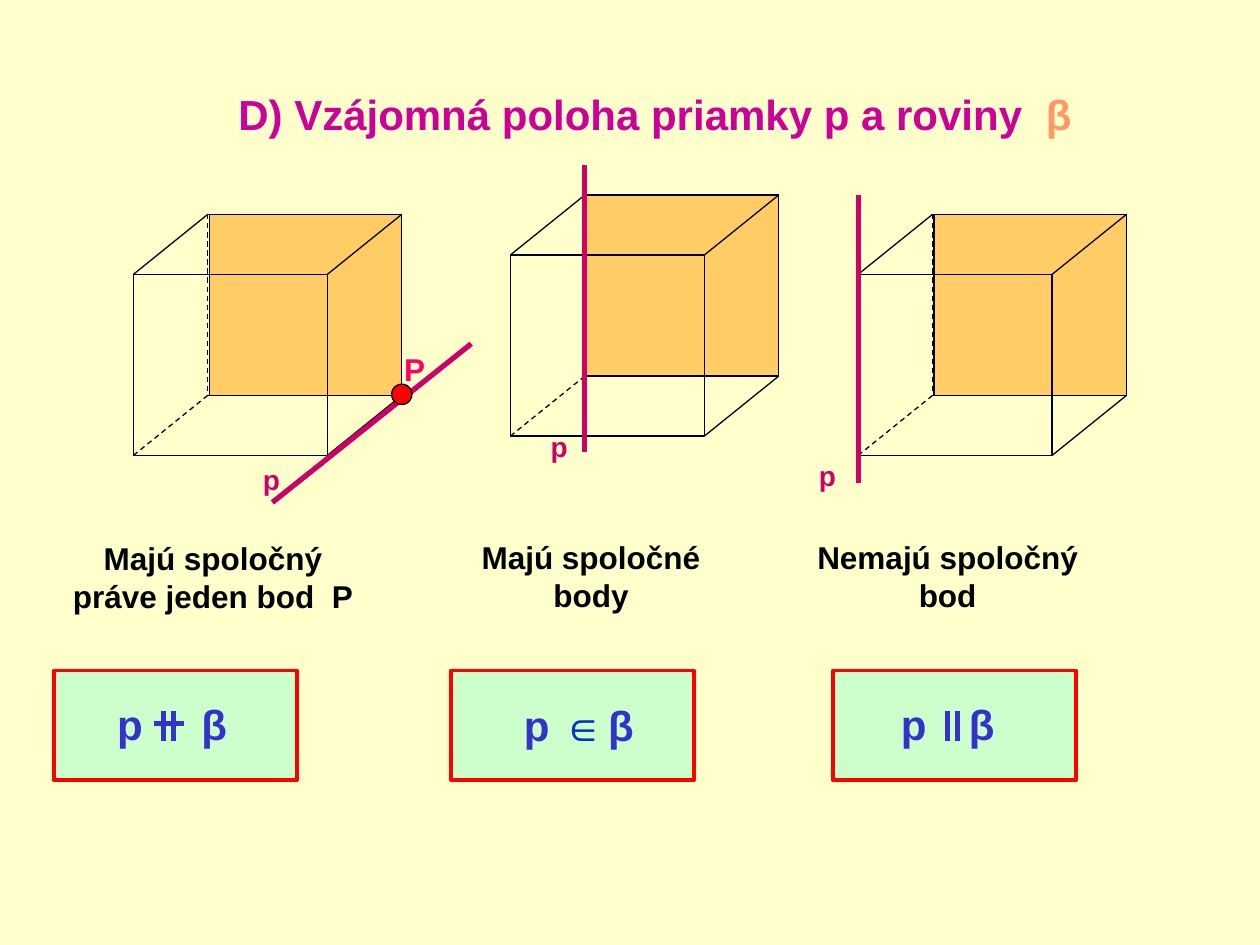
from dataclasses import dataclass

from lxml import etree
from pptx import Presentation
from pptx.dml.color import RGBColor
from pptx.enum import dml, shapes, text
from pptx.oxml.ns import qn
from pptx.util import Cm, Pt


@dataclass(frozen=True)
class Theme:
    font: str = "Arial"
    page: str = "FFFFCC"
    title: str = "CC0099"
    beta: str = "FF9966"
    ink: str = "000000"
    plane: str = "FFCC66"
    line: str = "CC0066"
    dot: str = "FF0000"
    mark: str = "FF0066"
    card: str = "CCFFCC"
    rim: str = "FF0000"
    sign: str = "3333CC"
    elem: str = "0033CC"
    big: int = 24
    mid: int = 18
    small: int = 16
    thin: float = 0.75
    frame: float = 2
    thick: float = 3


T = Theme()
WIDE, HIGH = 3.91, 3.65    # front face of a cube
DX, DY = 1.5, 1.21         # shift from front face to back face
INSET = 0.03               # keeps the plane clear of the dashed edge


def rgb(code):
    return RGBColor.from_string(code)


def stroke(root, a, b, color=T.ink, width=T.thin, dash=False):
    """Draw a straight line from point a to point b."""
    line = root.add_connector(shapes.MSO_CONNECTOR.STRAIGHT,
                              Cm(a[0]), Cm(a[1]), Cm(b[0]), Cm(b[1]))
    line.line.color.rgb = rgb(color)
    line.line.width = Pt(width)
    if dash:
        line.line.dash_style = dml.MSO_LINE.DASH
    etree.SubElement(line._element.spPr, qn("a:effectLst"))


def block(root, box, fill=None, color=T.ink, width=T.thin,
          kind=shapes.MSO_SHAPE.RECTANGLE):
    shape = root.add_shape(kind, *map(Cm, box))
    shape.shadow.inherit = False
    if fill:
        shape.fill.solid()
        shape.fill.fore_color.rgb = rgb(fill)
    else:
        shape.fill.background()
    shape.line.color.rgb = rgb(color)
    shape.line.width = Pt(width)


def add_run(para, words, size, color):
    run = para.add_run()
    run.text = words
    font = run.font
    font.name, font.size, font.bold = T.font, Pt(size), True
    font.color.rgb = rgb(color)


def label(root, box, rows, size, color, wrap=False, center=False):
    frame = root.add_textbox(*map(Cm, box)).text_frame
    frame.word_wrap = wrap
    for i, row in enumerate(rows):
        para = frame.add_paragraph() if i else frame.paragraphs[0]
        if center:
            para.alignment = text.PP_ALIGN.CENTER
        add_run(para, row, size, color)


def head(slide, box):
    title = slide.shapes.title
    title.left, title.top, title.width, title.height = map(Cm, box)
    frame = title.text_frame
    frame.word_wrap = True
    frame.auto_size = text.MSO_AUTO_SIZE.NONE
    frame.vertical_anchor = text.MSO_ANCHOR.TOP
    para = frame.paragraphs[0]
    para.alignment = text.PP_ALIGN.LEFT
    add_run(para, "D) Vzájomná poloha priamky p a roviny  ", T.big, T.title)
    add_run(para, "β", T.big, T.beta)


def cube(root, x, y):
    """Draw a wire cube whose back face is the plane β."""
    block(root, (x + DX + INSET, y, WIDE - INSET, HIGH), T.plane)
    wire = root.add_group_shape().shapes
    block(wire, (x, y + DY, WIDE, HIGH))
    front = [(x + i * WIDE, y + DY + j * HIGH) for j in (0, 1) for i in (0, 1)]
    back = [(px + DX, py - DY) for px, py in front]
    hidden = 2    # lower left corner of the back face
    for a, b in ((0, 1), (1, 3), (2, 3), (0, 2)):
        stroke(wire, back[a], back[b], dash=hidden in (a, b))
    for i in range(4):
        stroke(wire, front[i], back[i], dash=i == hidden)


def figure(root, x, y, ends, name):
    """Draw a cube with the line p and its name."""
    cube(root, x, y)
    a, b = [(x + px, y + py) for px, py in ends]
    stroke(root, a, b, T.line, T.thick)
    label(root, (x + name[0], y + name[1], 0.84, 0.94), ["p"], T.small, T.line)


def point(root, x, y, size=0.41):
    """Draw the point P centred on x, y."""
    block(root, (x - size / 2, y - size / 2, size, size), T.dot,
          kind=shapes.MSO_SHAPE.OVAL)
    label(root, (x - 0.2, y - 1.02, 0.91, 1.02), ["P"], T.mid, T.mark)


def card(root, x, y, p, beta, drop=0.43):
    """Draw a framed formula with p and β at the given offsets."""
    block(root, (x, y, 4.9, 2.21), T.card, T.rim, T.frame)
    for sign, dx in (("p", p), ("β", beta)):
        label(root, (x + dx, y + drop, 1.02, 1.27), [sign], T.big, T.sign)


def bars(root, x, y, cross=False):
    """Draw the parallel sign, crossed out where the line meets the plane."""
    for dx in (0, 0.2):
        stroke(root, (x + dx, y), (x + dx, y + 0.61), T.sign, T.thick)
    if cross:
        stroke(root, (x - 0.2, y + 0.26), (x + 0.41, y + 0.26),
               T.sign, T.thick)


def main():
    deck = Presentation()
    deck.slide_width, deck.slide_height = Cm(25.4), Cm(19.05)
    slide = deck.slides.add_slide(deck.slide_layouts[5])
    slide.background.fill.solid()
    slide.background.fill.fore_color.rgb = rgb(T.page)
    root = slide.shapes
    head(slide, (4.55, 1.65, 18, 1.27))

    figure(root, 2.69, 4.32, ((2.8, 5.81), (6.81, 2.61)), (2.36, 4.87))
    point(root, 8.1, 7.95)
    figure(root, 10.29, 3.93, ((DX, -0.6), (DX, 5.19)), (0.56, 4.6))
    figure(root, 17.3, 4.32, ((0, -0.38), (0, 5.41)), (-1.04, 4.8))

    for x, y, rows in ((0.89, 10.74, ("Majú spoločný", "práve jeden bod  P")),
                       (8.51, 10.72, ("Majú spoločné", "body")),
                       (15.7, 10.72, ("Nemajú spoločný", "bod"))):
        label(root, (x, y, 6.81, 1.78), rows, T.mid, T.ink,
              wrap=True, center=True)

    top = 13.52
    card(root, 1.09, top, 1.02, 2.72)
    bars(root, 3.3, top + 0.81, cross=True)
    card(root, 9.09, top, 1.22, 2.92, drop=0.45)
    label(root, (11.1, top + 0.46, 1.12, 1.27), ["∈"], T.big, T.elem,
          center=True)
    card(root, 16.79, top, 1.12, 2.49)
    bars(root, 19.1, top + 0.81)
    deck.save("out.pptx")


if __name__ == "__main__":
    main()
